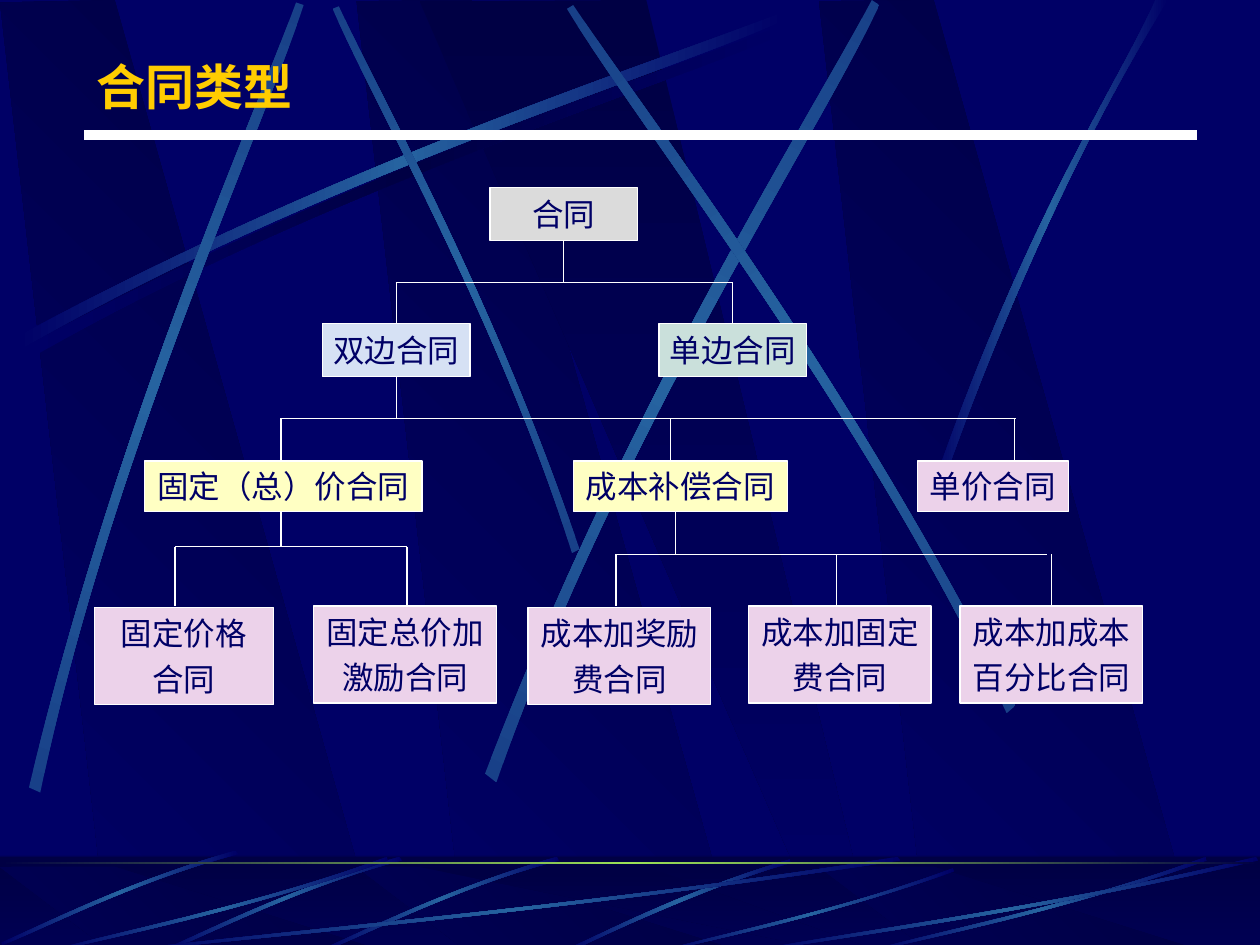
import math
from lxml import etree
from pptx import Presentation
from pptx import util as u
from pptx.dml.color import RGBColor
from pptx.enum import shapes, text
from pptx.oxml.ns import qn

PX = 9144
NAVY = RGBColor(0x00, 0x00, 0x66)
DARK = RGBColor(0x00, 0x00, 0x44)
STEEL = RGBColor(0x26, 0x63, 0xA0)
DUSK = RGBColor(0x18, 0x40, 0x88)
LIME = RGBColor(0x9C, 0xE1, 0x57)
WHITE = RGBColor(0xFF, 0xFF, 0xFF)
GOLD = RGBColor(0xFF, 0xCC, 0x00)
GRAY = RGBColor(0xDB, 0xDB, 0xDB)
BLUE = RGBColor(0xD6, 0xE1, 0xF4)
MINT = RGBColor(0xCA, 0xE0, 0xDB)
CREAM = RGBColor(0xFF, 0xFF, 0xC3)
PINK = RGBColor(0xEC, 0xD2, 0xEA)

PANELS = [
    ([(369, 750), (585, 752), (374, 0), (283, 1)], 135),
    ([(86, 750), (302, 752), (91, 0), (0, 2)], 135),
    ([(736, 750), (952, 752), (741, 0), (650, 1)], 135),
    ([(333, 1), (658, 751), (694, 751), (513, 0)], 90),
]
ARC = [(14, 267), (278, 125), (518, 51), (620, 10), (623, 16), (522, 61), (248, 143), (17, 277)]
RAYS = [
    [(460, 436), (391, 234), (302, 77), (269, 5), (264, 7), (295, 79), (398, 258), (454, 439)],
    [(23, 625), (93, 334), (197, 105), (235, 2), (241, 4), (207, 108), (86, 368), (32, 629)],
    [(385, 614), (498, 320), (638, 102), (692, 0), (698, 4), (649, 108), (486, 355), (394, 621)],
    [(806, 560), (670, 293), (516, 95), (455, 4), (450, 7), (507, 101), (685, 325), (799, 566)],
]
EDGE = [(738, 393), (814, 173), (888, 66), (917, 0), (927, 0), (836, 145), (769, 322), (744, 397)]
STALK = [(627, 2), (537, 29), (477, 62), (448, 74), (453, 75), (490, 57), (571, 20), (628, 5)]
TWIG = [(442, 0), (355, 25), (287, 60), (256, 73), (257, 75), (288, 63), (365, 23), (444, 3)]
SWEEP = [(266, 3), (151, 43), (46, 64), (1, 75), (0, 74), (44, 61), (164, 38), (265, 0)]

NODES = [
    ((314, 0, 117, 42), GRAY, ["合同"]),
    ((181, 108, 117, 42), BLUE, ["双边合同"]),
    ((448, 108, 117, 42), MINT, ["单边合同"]),
    ((40, 217, 220, 40), CREAM, ["固定（总）价合同"]),
    ((380, 217, 170, 40), CREAM, ["成本补偿合同"]),
    ((653, 217, 120, 40), PINK, ["单价合同"]),
    ((0, 333, 142, 77), PINK, ["固定价格", "合同"]),
    ((174, 332, 145, 77), PINK, ["固定总价加", "激励合同"]),
    ((344, 333, 145, 77), PINK, ["成本加奖励", "费合同"]),
    ((519, 332, 145, 77), PINK, ["成本加固定", "费合同"]),
    ((687, 332, 145, 77), PINK, ["成本加成本", "百分比合同"]),
]
FORKS = [
    (373, 42, 75, 108, (239, 506), [239, 506]),
    (239, 150, 183, 217, (148, 731), [148, 457, 730]),
    (461, 257, 291, 332, (414, 756), [414, 589, 760]),
    (148, 257, 285, 332, (64, 248), [64, 248]),
]


def shade(shape, cols, deg):
    shape.shadow.inherit = False
    shape.line.fill.background()
    shape.fill.gradient()
    grad = shape.fill._xPr.find(qn("a:gradFill"))
    stops = grad.find(qn("a:gsLst"))
    for stop in list(stops):
        stops.remove(stop)
    for i, col in enumerate(cols):
        stop = etree.SubElement(stops, qn("a:gs"), pos=str(100000 * i // (len(cols) - 1)))
        etree.SubElement(stop, qn("a:srgbClr"), val=str(col))
    grad.find(qn("a:lin")).set("ang", str(round(deg * 60000)))


def outline(page, box, pts, cols, deg):
    left, top = box[:2]
    spots = [(round((left + x) * PX), round((top + y) * PX)) for x, y in pts]
    form = page.shapes.build_freeform(*spots[0], scale=1.0)
    form.add_line_segments(spots[1:], close=True)
    shape = form.convert_to_shape()
    shade(shape, cols, deg)
    return shape


def beam(page, box, pts, cols=(NAVY, STEEL, NAVY), deg=0):
    shape = outline(page, box, pts, cols, deg)
    legs = list(shape._element.iter(qn("a:lnTo")))
    for trio in (legs[:3], legs[4:]):
        bend = etree.Element(qn("a:cubicBezTo"))
        trio[0].addprevious(bend)
        for leg in trio:
            bend.append(leg[0])
            leg.getparent().remove(leg)


def block(page, box):
    return page.shapes.add_shape(shapes.MSO_SHAPE.RECTANGLE, *[v * PX for v in box])


def panels(page, box):
    for pts, deg in PANELS:
        outline(page, box, [(x, y * box[3] / 752) for x, y in pts], (DARK, NAVY), deg)


def backdrop(page, box):
    panels(page, box)
    beam(page, (box[0] + 6, box[1] + 8), ARC, (NAVY, DARK, NAVY))
    beam(page, box, ARC)
    for ray in RAYS:
        (x, y), (far, end) = ray[0], ray[3]
        deg = math.degrees(math.atan2(end - y, far - x)) % 360
        beam(page, box, ray, (DUSK, STEEL, DUSK), deg)
    beam(page, box, EDGE)


def footer(page, box):
    left, top, wide, high = box
    shade(block(page, box), (DARK, NAVY), 90)
    panels(page, (left, top + 8, wide, 66))
    veil = block(page, (left, top - 1, wide, high))
    veil.shadow.inherit = False
    veil.line.fill.background()
    veil.fill.solid()
    veil.fill.fore_color.rgb = DARK
    tint = veil.fill._xPr.find(qn("a:solidFill"))[0]
    etree.SubElement(tint, qn("a:alpha"), val="50000")
    beam(page, box, STALK)
    for dx, dy in [(0, 0), (-125, 0), (-255, -5)]:
        beam(page, (left + dx, top + dy), TWIG)
    for dx, dy, span in [(100, 0, 617), (42, 0, 267), (527, 9, 231), (692, 0, 267), (600, 0, 400)]:
        pts = [(x * span / 267, y * (75 - dy) / 75) for x, y in SWEEP]
        beam(page, (left + dx, top + dy), pts)
    shade(block(page, (left, top + 4, wide, 2)), (DARK, LIME, DARK), 0)


def master(deck, slide):
    base = deck.slide_master
    base.background.fill.solid()
    base.background.fill.fore_color.rgb = NAVY
    for part, box in [(backdrop, (0, 0, 1000, 752)), (footer, (0, 680, 1000, 75))]:
        group = slide.shapes.add_group_shape()
        part(group, box)
        base.shapes._spTree.append(group._element)
    for i, tag in enumerate(base.shapes._spTree.iter(qn("p:cNvPr")), 1):
        tag.set("id", str(i))


def line(slide, ends, width=0.75):
    link = slide.shapes.add_connector(
        shapes.MSO_CONNECTOR.STRAIGHT, *[round(v * PX) for v in ends])
    link.line.color.rgb = WHITE
    link.line.width = u.Pt(width)
    etree.SubElement(link._element.spPr, qn("a:effectLst"))
    return link


def write(para, words, font, size, col, bold=False):
    run = para.add_run()
    run.text = words
    run.font.name = font
    run.font.size = u.Pt(size)
    run.font.color.rgb = col
    run.font.bold = bold


def head(slide, box):
    left, top, wide, high = box
    area = slide.shapes.add_textbox(left * PX, top * PX, wide * PX, high * PX)
    frame = area.text_frame
    frame.word_wrap = True
    frame.vertical_anchor = text.MSO_ANCHOR.MIDDLE
    write(frame.paragraphs[0], "合同类型", "Montserrat", 28, GOLD, True)
    line(slide, (left, top + 67, left + 883, top + 67), 6)


def node(slide, box, col, rows):
    shape = block(slide, box)
    shape.shadow.inherit = False
    shape.fill.solid()
    shape.fill.fore_color.rgb = col
    shape.line.color.rgb = WHITE
    shape.line.width = u.Pt(0.75)
    frame = shape.text_frame
    frame.word_wrap = False
    frame.vertical_anchor = text.MSO_ANCHOR.MIDDLE
    for i, row in enumerate(rows):
        para = frame.add_paragraph() if i else frame.paragraphs[0]
        para.alignment = text.PP_ALIGN.CENTER
        para.space_before = u.Pt(4.5)
        write(para, row, "Arial", 18, NAVY)
    return shape


def snap(sides, x, y):
    for (mid, edge), shape in sides.items():
        if edge == y and abs(mid - x) < 1:
            return mid, shape
    return x, None


def tree(slide, box):
    left, top = box[:2]
    tops, feet = {}, {}
    for (x, y, w, h), col, rows in NODES:
        shape = node(slide, (left + x, top + y, w, h), col, rows)
        tops[x + w / 2, y] = shape
        feet[x + w / 2, y + h] = shape
    for stem, foot, bar, end, (low, high), drops in FORKS:
        line(slide, (left + low, top + bar, left + high, top + bar))
        x, shape = snap(feet, stem, foot)
        link = line(slide, (left + x, top + foot, left + x, top + bar))
        if shape:
            link.begin_connect(shape, 2)
        for drop in drops:
            x, shape = snap(tops, drop, end)
            link = line(slide, (left + x, top + bar, left + x, top + end))
            if shape:
                link.end_connect(shape, 0)


def main():
    deck = Presentation()
    deck.slide_width, deck.slide_height = 1000 * PX, 750 * PX
    slide = deck.slides.add_slide(deck.slide_layouts[6])
    master(deck, slide)
    head(slide, (67, 40, 900, 57))
    tree(slide, (75, 149, 833, 410))
    deck.save("out.pptx")


if __name__ == "__main__":
    main()
